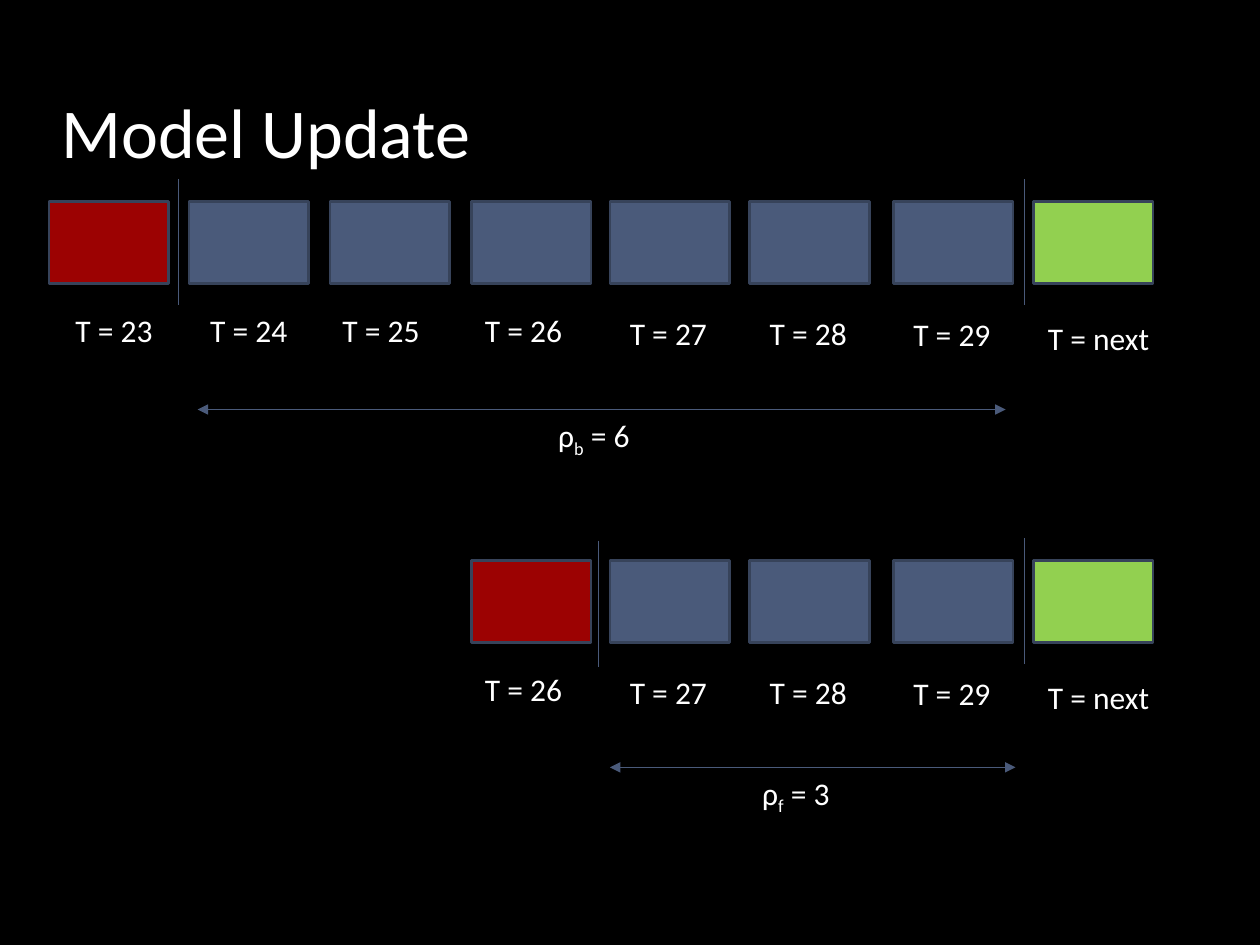
from dataclasses import dataclass

from lxml import etree
from pptx import Presentation
from pptx.dml.color import RGBColor
from pptx.enum.shapes import MSO_CONNECTOR, MSO_SHAPE
from pptx.enum.text import MSO_ANCHOR, MSO_AUTO_SIZE
from pptx.oxml.ns import qn
from pptx.util import Pt

STRAIGHT = MSO_CONNECTOR.STRAIGHT
RECTANGLE = MSO_SHAPE.RECTANGLE
ANCHOR_TOP = MSO_ANCHOR.TOP
ANCHOR_BOTTOM = MSO_ANCHOR.BOTTOM
GROW = MSO_AUTO_SIZE.SHAPE_TO_FIT_TEXT


@dataclass(frozen=True)
class Theme:
    background: str = "000000"
    text: str = "FFFFFF"
    outdated: str = "9C0202"
    window: str = "4A5A7A"
    upcoming: str = "92D050"
    outline: str = "37435A"
    font: str = "Calibri"
    title_size: int = 40
    label_size: int = 18
    outline_width: float = 1.5
    line_width: float = 0.75


# label, box left, label left, label width, label offset below the row top
STEPS = [
    ("T = 23", 28.1, 36, 60, 59),
    ("T = 24", 108, 113, 60, 59),
    ("T = 25", 188.6, 188.6, 60, 59),
    ("T = 26", 269.3, 270, 60, 59),
    ("T = 27", 348.5, 352.8, 60, 60.5),
    ("T = 28", 428.4, 432.7, 60, 60.5),
    ("T = 29", 510.5, 514.8, 60, 61.2),
    ("T = next", 590.4, 591.8, 80, 63.4),
]
BOX_WIDTH, BOX_HEIGHT = 68.4, 46.8
LABEL_HEIGHT = 29
DIVIDER_LENGTH = 72


class SlideBuilder:
    def __init__(self, slide, theme):
        self.slide = slide
        self.theme = theme
        fill = slide.background.fill
        fill.solid()
        fill.fore_color.rgb = RGBColor.from_string(theme.background)

    def text(self, runs, left, top, width, height, size, anchor=ANCHOR_TOP):
        """Add a text box from (text, baseline shift in percent) pairs."""
        box = self.slide.shapes.add_textbox(Pt(left), Pt(top), Pt(width), Pt(height))
        frame = box.text_frame
        frame.word_wrap = True
        frame.vertical_anchor = anchor
        if anchor == ANCHOR_TOP:
            frame.auto_size = GROW
        for content, shift in runs:
            run = frame.paragraphs[0].add_run()
            run.text = content
            run.font.name = self.theme.font
            run.font.size = Pt(size)
            run.font.color.rgb = RGBColor.from_string(self.theme.text)
            if shift:
                run.font._element.set("baseline", str(shift * 1000))

    def title(self, content):
        self.text([(content, 0)], 28.1, 18, 604.8, 84.2,
                  self.theme.title_size, ANCHOR_BOTTOM)

    def label(self, runs, left, top, width=60):
        self.text(runs, left, top, width, LABEL_HEIGHT, self.theme.label_size)

    def box(self, left, top, color):
        shape = self.slide.shapes.add_shape(
            RECTANGLE, Pt(left), Pt(top), Pt(BOX_WIDTH), Pt(BOX_HEIGHT))
        shape.shadow.inherit = False
        shape.fill.solid()
        shape.fill.fore_color.rgb = RGBColor.from_string(color)
        shape.line.color.rgb = RGBColor.from_string(self.theme.outline)
        shape.line.width = Pt(self.theme.outline_width)

    def line(self, start_x, start_y, end_x, end_y, arrows=False):
        connector = self.slide.shapes.add_connector(
            STRAIGHT, Pt(start_x), Pt(start_y), Pt(end_x), Pt(end_y))
        connector.line.color.rgb = RGBColor.from_string(self.theme.window)
        connector.line.width = Pt(self.theme.line_width)
        if arrows:
            outline = connector.line._get_or_add_ln()
            for end in ("a:headEnd", "a:tailEnd"):
                etree.SubElement(outline, qn(end), type="triangle")
        etree.SubElement(connector._element.spPr, qn("a:effectLst"))

    def timeline(self, steps, top, dividers):
        """Draw one row: outdated step, window steps, then the upcoming step."""
        colors = ([self.theme.outdated]
                  + [self.theme.window] * (len(steps) - 2)
                  + [self.theme.upcoming])
        for (name, box_left, label_left, width, offset), color in zip(steps, colors):
            self.box(box_left, top, color)
            self.label([(name, 0)], label_left, top + offset, width)
        for x, y in dividers:
            self.line(x, y, x, y + DIVIDER_LENGTH)

    def span(self, start, end, y, subscript, value, label_left):
        """Draw a double arrow with the window length below it."""
        self.line(start, y, end, y, arrows=True)
        self.label([("ρ", 0), (subscript, -25), (f" = {value}", 0)], label_left, y)


def main():
    presentation = Presentation()
    presentation.slide_width = Pt(720)
    presentation.slide_height = Pt(540)
    slide = presentation.slides.add_slide(presentation.slide_layouts[6])
    builder = SlideBuilder(slide, Theme())

    builder.title("Model Update")
    builder.timeline(STEPS, 115.2, [(102.2, 102.2), (585.4, 102.2)])
    builder.span(113, 574.6, 234, "b", 6, 311.8)
    builder.timeline(STEPS[3:], 320.4, [(342, 309), (585.4, 307.4)])
    builder.span(348.5, 580.3, 438.5, "f", 3, 428.4)

    presentation.save("out.pptx")


if __name__ == "__main__":
    main()
